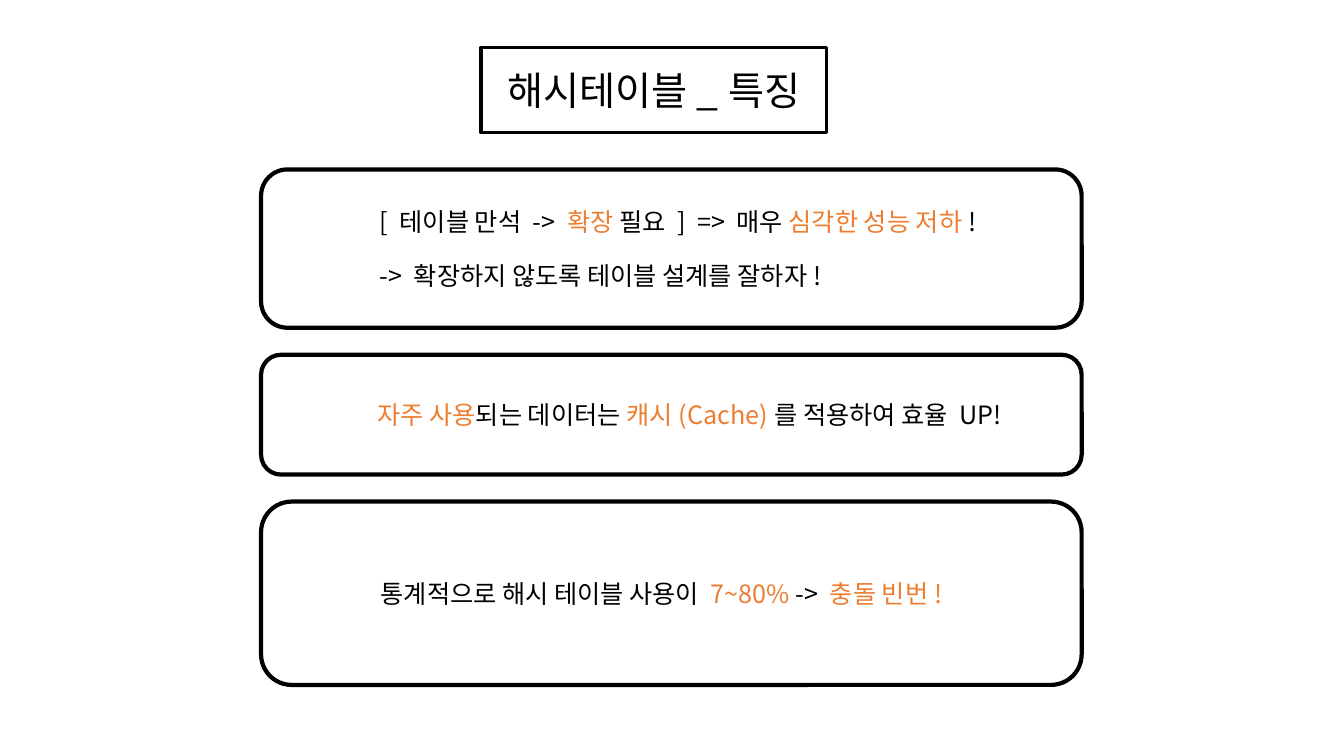
from dataclasses import dataclass

from lxml.etree import SubElement
from pptx import Presentation
from pptx.dml.color import RGBColor
from pptx.enum.shapes import MSO_SHAPE
from pptx.enum.text import MSO_ANCHOR, MSO_AUTO_SIZE, PP_ALIGN
from pptx.oxml.ns import qn
from pptx.util import Cm, Pt

FONT = "Noto Sans CJK KR"
BLACK, WHITE, ORANGE = "000000", "FFFFFF", "ED7D31"
BOX_LEFT, BOX_WIDTH, FIRST_TOP, BOX_GAP = 6.58, 20.68, 4.27, 0.68
TEXT_INDENT = 2.54
LINE_GAP = 17


@dataclass(frozen=True)
class Span:
    text: str
    color: str = BLACK


@dataclass(frozen=True)
class FeatureBox:
    height: float
    lines: list[list[Span]]


FEATURES = [
    FeatureBox(3.99, [
        [Span("[ 테이블 만석 -> "), Span("확장", ORANGE), Span(" 필요 ]  => 매우 "),
         Span("심각한 성능 저하", ORANGE), Span("!")],
        [Span("-> 확장하지 않도록 테이블 설계를 잘하자!")],
    ]),
    FeatureBox(3.02, [
        [Span("자주 사용", ORANGE), Span("되는 데이터는 "),
         Span("캐시(Cache)", ORANGE), Span("를 적용하여 효율 UP!")],
    ]),
    FeatureBox(4.62, [
        [Span("통계적으로 해시 테이블 사용이 "), Span("7~80%", ORANGE),
         Span(" -> "), Span("충돌 빈번!", ORANGE)],
    ]),
]


def rgb(value: str) -> RGBColor:
    return RGBColor.from_string(value)


def outline(box, width: float) -> None:
    """Give a box a white fill and a black border."""
    box.fill.solid()
    box.fill.fore_color.rgb = rgb(WHITE)
    box.line.color.rgb = rgb(BLACK)
    box.line.width = Pt(width)


def add_span(para, span: Span, size: float) -> None:
    run = para.add_run()
    run.text = span.text
    run.font.size = Pt(size)
    run.font.name = FONT
    run.font.color.rgb = rgb(span.color)
    # Hangul takes its typeface from the East Asian font slot
    SubElement(run.font._element, qn("a:ea")).set("typeface", FONT)


def add_title(page) -> None:
    title = page.shapes.title
    title.left, title.top, title.width, title.height = Cm(12.12), Cm(1.19), Cm(8.71), Cm(2.16)
    outline(title, 2.25)
    frame = title.text_frame
    frame.auto_size = MSO_AUTO_SIZE.NONE
    frame.vertical_anchor = MSO_ANCHOR.MIDDLE
    para = frame.paragraphs[0]
    para.alignment = PP_ALIGN.CENTER
    add_span(para, Span("해시테이블_특징"), 28)


def add_feature(page, feature: FeatureBox, top: float) -> None:
    box = page.shapes.add_shape(MSO_SHAPE.ROUNDED_RECTANGLE, Cm(BOX_LEFT), Cm(top),
                                Cm(BOX_WIDTH), Cm(feature.height))
    box.shadow.inherit = False
    outline(box, 3)
    frame = box.text_frame
    frame.word_wrap = True
    frame.vertical_anchor = MSO_ANCHOR.MIDDLE
    for index, line in enumerate(feature.lines):
        para = frame.add_paragraph() if index else frame.paragraphs[0]
        para.level = 2
        para.alignment = PP_ALIGN.LEFT
        para.space_before = Pt(LINE_GAP if index else 0)
        properties = para._p.get_or_add_pPr()
        properties.set("marL", str(Cm(TEXT_INDENT)))
        properties.set("indent", "0")
        for span in line:
            add_span(para, span, 18)


def main() -> None:
    deck = Presentation()
    deck.slide_width, deck.slide_height = Cm(33.87), Cm(19.05)
    page = deck.slides.add_slide(deck.slide_layouts.get_by_name("Title Only"))
    add_title(page)
    top = FIRST_TOP
    for feature in FEATURES:
        add_feature(page, feature, top)
        top += feature.height + BOX_GAP
    deck.save("out.pptx")


if __name__ == "__main__":
    main()
